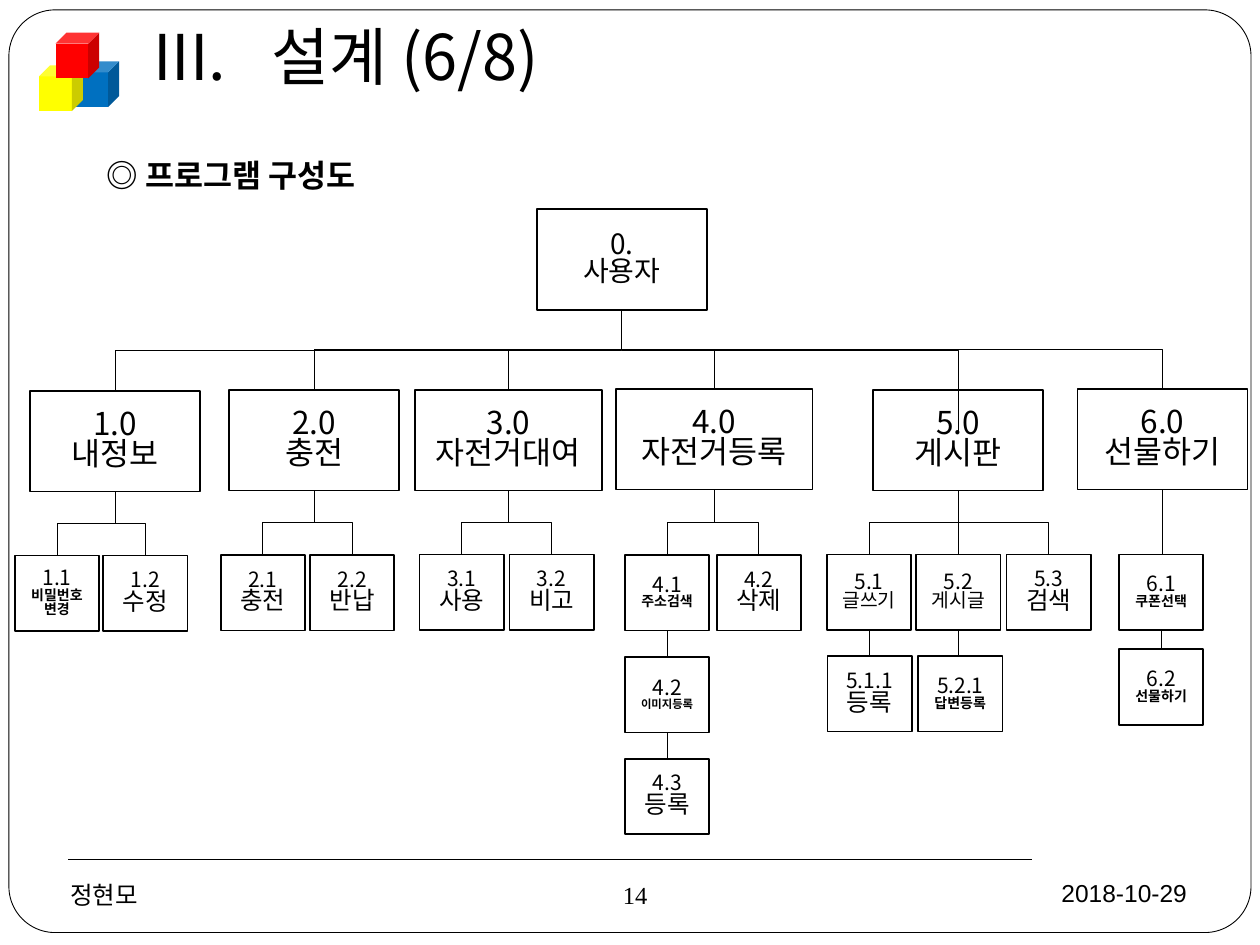
import pptx
import pptx.dml.color
import pptx.enum.shapes
import pptx.enum.text
import pptx.oxml.ns
import pptx.util
from lxml import etree

Cm, Pt = pptx.util.Cm, pptx.util.Pt
SHAPE = pptx.enum.shapes.MSO_SHAPE
CONNECTOR = pptx.enum.shapes.MSO_CONNECTOR
ALIGN = pptx.enum.text.PP_ALIGN
ANCHOR = pptx.enum.text.MSO_ANCHOR
KOREAN, BLACK = "Noto Sans CJK KR", "000000"
BOTTOM, TOP = 2, 0

CUBES = [(1.52, 1.24, "0070C0"), (0.79, 1.32, "FFFF00"), (1.12, 0.66, "FF0000")]

# key, parent, left, top, number, label, label size
USER = ("user", None, 10.82, 4.22, "0.", "사용자", 16)
# key, left, top, width, number, label
MODULES = [
    ("1", 0.61, 7.88, 3.43, "1.0", "내정보"),
    ("2", 4.62, 7.86, 3.43, "2.0", "충전"),
    ("3", 8.36, 7.86, 3.78, "3.0", "자전거대여"),
    ("4", 12.42, 7.84, 3.96, "4.0", "자전거등록"),
    ("5", 17.6, 7.86, 3.43, "5.0", "게시판"),
    ("6", 21.72, 7.84, 3.43, "6.0", "선물하기"),
]
# key, parent, left, top, number, label, label size
FUNCTIONS = [
    ("1.1", "1", 0.3, 11.2, "1.1", "비밀번호변경", 8),
    ("1.2", "1", 2.08, 11.2, "1.2", "수정", 14),
    ("2.1", "2", 4.45, 11.19, "2.1", "충전", 14),
    ("2.2", "2", 6.25, 11.19, "2.2", "반납", 14),
    ("3.1", "3", 8.46, 11.18, "3.1", "사용", 14),
    ("3.2", "3", 10.27, 11.18, "3.2", "비고", 14),
    ("address", "4", 12.6, 11.19, "4.1", "주소검색", 8),
    ("delete", "4", 14.45, 11.19, "4.2", "삭제", 14),
    ("image", "address", 12.6, 13.25, "4.2", "이미지등록", 6.5),
    ("register", "image", 12.6, 15.3, "4.3", "등록", 14),
    ("5.1", "5", 16.67, 11.18, "5.1", "글쓰기", 11),
    ("5.2", "5", 18.47, 11.18, "5.2", "게시글", 11),
    ("5.3", "5", 20.29, 11.18, "5.3", "검색", 14),
    ("5.1.1", "5.1", 16.68, 13.23, "5.1.1", "등록", 14),
    ("5.2.1", "5.2", 18.51, 13.23, "5.2.1", "답변등록", 8),
    ("6.1", "6", 22.56, 11.18, "6.1", "쿠폰선택", 8),
    ("6.2", "6.1", 22.56, 13.09, "6.2", "선물하기", 8),
]

deck = pptx.Presentation()
deck.slide_width, deck.slide_height = Cm(25.4), Cm(19.05)
page = deck.slides.add_slide(deck.slide_layouts[6])


def color(value):
    return pptx.dml.color.RGBColor.from_string(value)


def add_child(parent, tag, **attributes):
    return etree.SubElement(parent, pptx.oxml.ns.qn(tag), attributes)


def add_span(para, text, size, font=KOREAN, bold=False):
    span = para.add_run()
    span.text = text
    span.font.size, span.font.name, span.font.bold = Pt(size), font, bold
    span.font.color.rgb = color(BLACK)
    add_child(span.font._element, "a:ea", typeface=KOREAN)


def add_shape(kind, left, top, width, height, fill=None, line=None, shapes=page.shapes):
    shape = shapes.add_shape(kind, Cm(left), Cm(top), Cm(width), Cm(height))
    shape.shadow.inherit = False
    if fill:
        shape.fill.solid()
        shape.fill.fore_color.rgb = color(fill)
    else:
        shape.fill.background()
    if line:
        shape.line.color.rgb = color(BLACK)
        shape.line.width = Pt(line)
    else:
        shape.line.fill.background()
    return shape


def add_text(left, top, width, height, align, anchor, wrap=True):
    """Add a text box and return its first paragraph."""
    box = page.shapes.add_textbox(Cm(left), Cm(top), Cm(width), Cm(height))
    box.text_frame.word_wrap = wrap
    box.text_frame.vertical_anchor = anchor
    para = box.text_frame.paragraphs[0]
    para.alignment = align
    return para


def add_node(left, top, width, height, lines):
    box = add_shape(SHAPE.RECTANGLE, left, top, width, height, line=1)
    frame = box.text_frame
    frame.word_wrap, frame.vertical_anchor = True, ANCHOR.MIDDLE
    for index, (text, size) in enumerate(lines):
        para = frame.add_paragraph() if index else frame.paragraphs[0]
        para.alignment = ALIGN.CENTER
        para.line_spacing = 0.8
        add_span(para, text, size, bold=size <= 8)
    return box


def add_line(kind, x1=0, y1=0, x2=0, y2=0):
    line = page.shapes.add_connector(kind, x1, y1, x2, y2)
    line.line.color.rgb = color(BLACK)
    line.line.width = Pt(0.5)
    add_child(line._element.spPr, "a:effectLst")
    return line


def join(parent, child):
    """Link parent to child, going down, across, then down where they are not aligned."""
    shift = child.left + child.width // 2 - parent.left - parent.width // 2
    straight = abs(shift) < Cm(0.1)
    line = add_line(CONNECTOR.STRAIGHT if straight else CONNECTOR.ELBOW)
    line.begin_connect(parent, BOTTOM)
    line.end_connect(child, TOP)
    if straight:
        line.end_x = line.begin_x
        return
    across, down = line.width, line.height
    line.left += (across - down) // 2
    line.top += (down - across) // 2
    line.width, line.height = down, across
    frame = line._element.spPr.find(pptx.oxml.ns.qn("a:xfrm"))
    frame.set("rot", str((270 if shift > 0 else 90) * 60000))
    frame.set("flipH", "1" if shift > 0 else "0")


border = add_shape(SHAPE.ROUNDED_RECTANGLE, 0.18, 0.2, 25.04, 18.6, "FFFFFF", 0.5)
border.adjustments[0] = 0.05
logo = page.shapes.add_group_shape()
for left, top, fill in CUBES:
    add_shape(SHAPE.CUBE, left, top, 0.88, 0.92, fill, shapes=logo.shapes)

title = add_text(2.84, 0.41, 18.5, 1.8, ALIGN.LEFT, ANCHOR.TOP)
title_format = title._p.get_or_add_pPr()
title_format.set("marL", str(Cm(2.38)))
title_format.set("indent", str(-Cm(2.38)))
add_child(add_child(title_format, "a:buClr"), "a:srgbClr", val=BLACK)
add_child(title_format, "a:buFont", typeface=KOREAN)
add_child(title_format, "a:buAutoNum", type="romanUcPeriod", startAt="3")
title.line_spacing = 0.9
add_span(title, "설계 ", 36)
add_span(title, "(6/8)", 36)

heading = add_text(1.5, 3.02, 6.32, 1.02, ALIGN.CENTER, ANCHOR.TOP, wrap=False)
add_span(heading, "◎ 프로그램 구성도", 18, "Arial", True)

key, _, left, top, number, label, size = USER
nodes = {key: add_node(left, top, 3.43, 2.03, [(number, size), (label, size)])}
for key, left, top, width, number, label in MODULES:
    nodes[key] = add_node(left, top, width, 2.03, [(number, 18), (label, 18)])
    if key != "5":
        join(nodes["user"], nodes[key])
for key, parent, left, top, number, label, size in FUNCTIONS:
    nodes[key] = add_node(left, top, 1.7, 1.52, [(number, 12), (label, size)])
    join(nodes[parent], nodes[key])

# The board link leaves the trunk sideways and runs to the middle of its box.
board = nodes["5"]
board_link = add_line(CONNECTOR.ELBOW, Cm(12.53), Cm(7.06),
                      board.left + board.width // 2, board.top + board.height // 2 - Cm(0.15))
board_link._element.spPr.find(pptx.oxml.ns.qn("a:prstGeom")).set("prst", "bentConnector2")

add_line(CONNECTOR.STRAIGHT, Cm(1.38), Cm(17.33), Cm(20.8), Cm(17.33))
add_span(add_text(1.17, 17.4, 11, 1.27, ALIGN.LEFT, ANCHOR.MIDDLE), "정현모", 14)
add_span(add_text(17.3, 17.33, 6.88, 1.32, ALIGN.RIGHT, ANCHOR.MIDDLE), "2018-10-29", 14, "Arial")
page_number = add_shape(SHAPE.OVAL, 12.17, 17.4, 1.27, 1.27).text_frame
page_number.margin_left = page_number.margin_right = 0
page_number.margin_top = page_number.margin_bottom = 0
page_number.word_wrap, page_number.vertical_anchor = False, ANCHOR.MIDDLE
page_number.paragraphs[0].alignment = ALIGN.CENTER
add_span(page_number.paragraphs[0], "14", 14, "Times New Roman")

deck.save("out.pptx")
